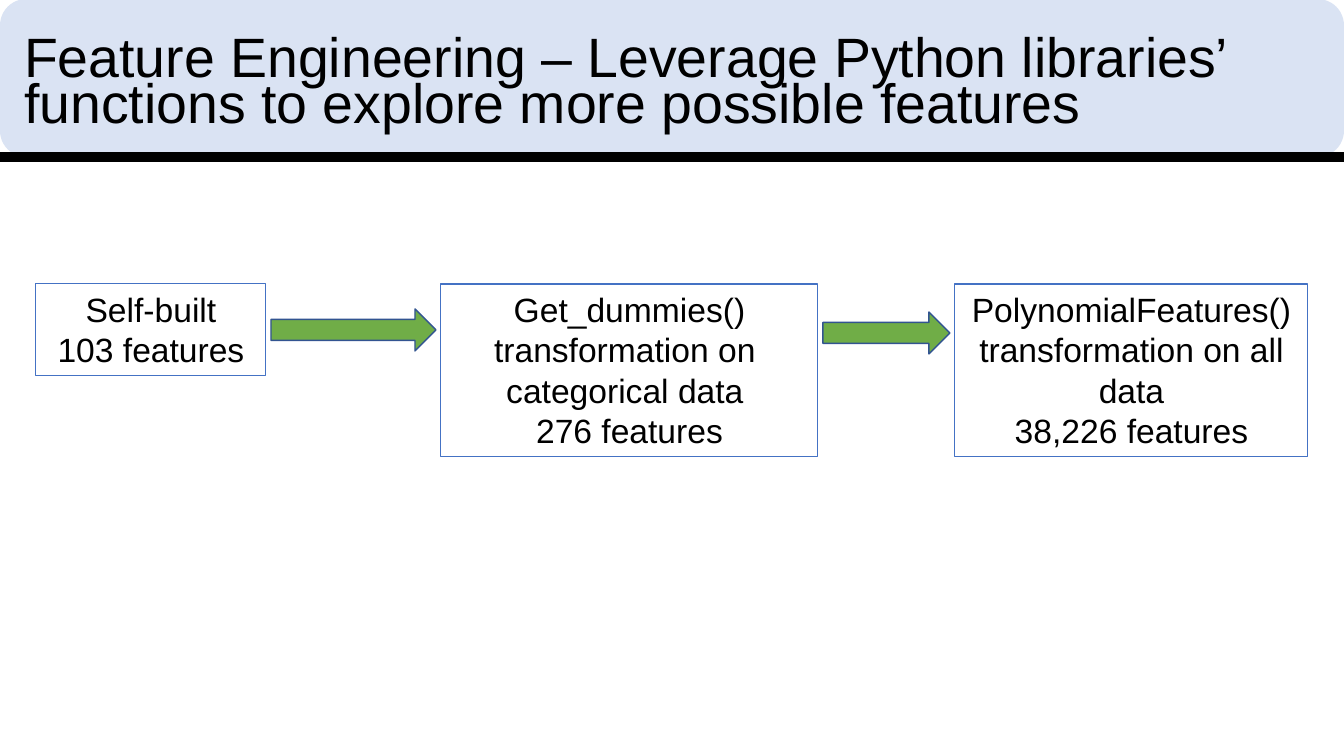
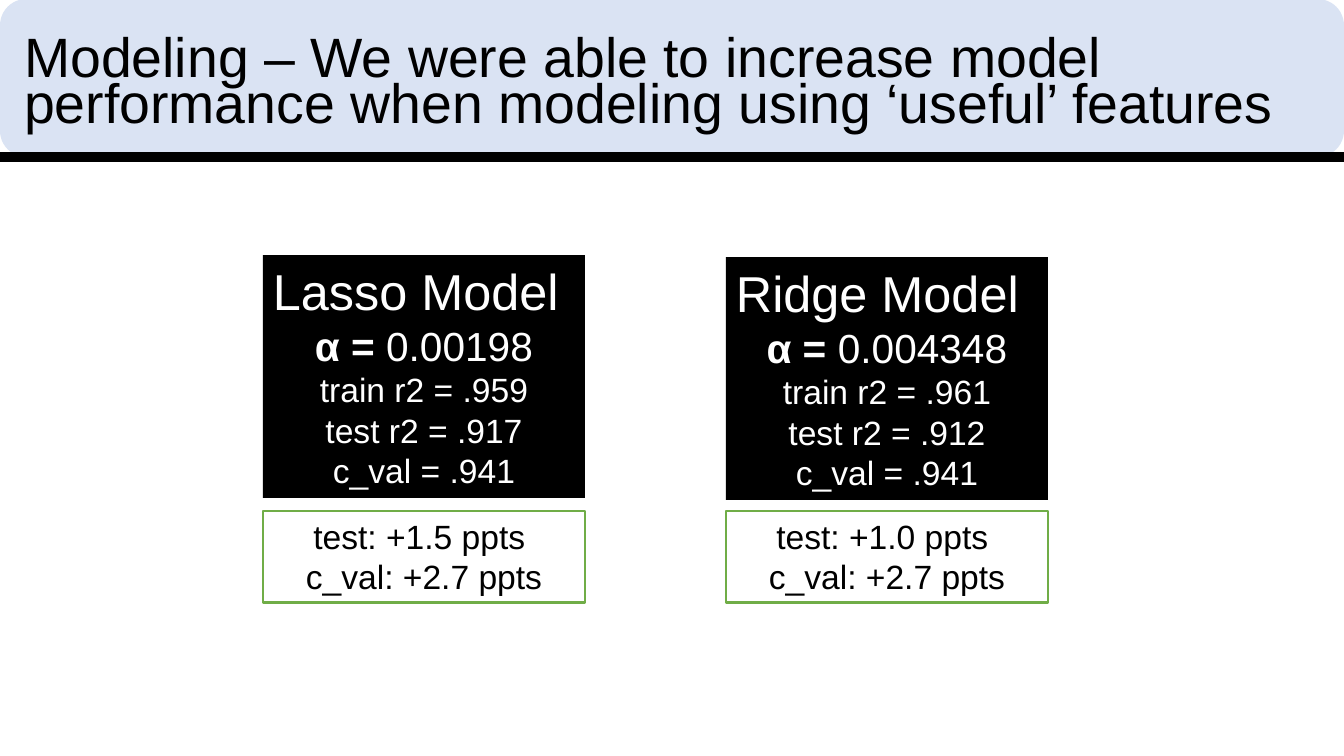
from collections import namedtuple
from dataclasses import dataclass

from lxml.etree import SubElement
from pptx import Presentation
from pptx.dml.color import RGBColor
from pptx.enum.shapes import MSO_CONNECTOR, MSO_SHAPE
from pptx.enum.text import MSO_ANCHOR, MSO_AUTO_SIZE, PP_ALIGN
from pptx.oxml.ns import qn
from pptx.util import Emu, Pt

PIXEL = 914400 / 100.8
WIDTH, HEIGHT = 1344, 756
TITLE_ONLY_LAYOUT = 5

Box = namedtuple("Box", "left top width height")
Run = namedtuple("Run", "text size bold", defaults=(False,))
Line = namedtuple("Line", "runs alignment", defaults=(PP_ALIGN.CENTER,))
Step = namedtuple("Step", "left width height lines")
Model = namedtuple("Model", "left top name alpha scores gains")


@dataclass(frozen=True)
class Theme:
    font: str = "Arial"
    black: str = "000000"
    white: str = "FFFFFF"
    band: str = "DAE3F3"
    blue: str = "4472C4"
    green: str = "70AD47"
    arrow_edge: str = "325491"
    title_size: float = 39.6
    heading_size: float = 36
    alpha_size: float = 29
    body_size: float = 24
    rule_width: float = 7.25
    box_edge: float = 0.75
    arrow_line: float = 1
    gain_edge: float = 2


THEME = Theme()


def px(length):
    return Emu(round(length * PIXEL))


def emu_box(box):
    return [px(length) for length in box]


def set_attributes(target, values):
    for name, value in values.items():
        setattr(target, name, value)


def paint(shape, fill=None, edge=None, edge_width=0):
    """Give a shape its fill and outline, or none."""
    for part, color in ((shape.fill, fill), (shape.line.fill, edge)):
        if color:
            part.solid()
            part.fore_color.rgb = RGBColor.from_string(color)
        else:
            part.background()
    if edge:
        shape.line.width = Pt(edge_width)


def add_run(paragraph, run, color):
    text_run = paragraph.add_run()
    text_run.text = run.text
    set_attributes(text_run.font, {
        "name": THEME.font, "size": Pt(run.size), "bold": run.bold})
    text_run.font.color.rgb = RGBColor.from_string(color)


def add_text_box(slide, box, lines, color=THEME.black, **paint_values):
    shape = slide.shapes.add_textbox(*emu_box(box))
    paint(shape, **paint_values)
    frame = shape.text_frame
    set_attributes(frame, {
        "word_wrap": True, "auto_size": MSO_AUTO_SIZE.SHAPE_TO_FIT_TEXT})
    for index, line in enumerate(lines):
        paragraph = frame.add_paragraph() if index else frame.paragraphs[0]
        paragraph.alignment = line.alignment
        for run in line.runs:
            add_run(paragraph, run, color)


def body_lines(texts):
    return [Line([Run(text, THEME.body_size)]) for text in texts]


def add_preset(slide, preset, box, **paint_values):
    shape = slide.shapes.add_shape(preset, *emu_box(box))
    shape.shadow.inherit = False
    paint(shape, **paint_values)


def add_header(slide, box, title):
    # Band and rule along its lower edge
    add_preset(slide, MSO_SHAPE.ROUNDED_RECTANGLE, box, fill=THEME.band)
    bottom = px(box.top + box.height)
    rule = slide.shapes.add_connector(
        MSO_CONNECTOR.STRAIGHT, px(box.left), bottom,
        px(box.left + box.width), bottom)
    rule.line.color.rgb = RGBColor.from_string(THEME.black)
    rule.line.width = Pt(THEME.rule_width)
    SubElement(rule._element.spPr, qn("a:effectLst"))

    # Title, brought in front of the band
    shape = slide.shapes.title
    title_box = Box(box.left + 14, box.top + 29, box.width - 28, 117)
    set_attributes(shape, dict(zip(Box._fields, emu_box(title_box))))
    set_attributes(shape.text_frame, {
        "word_wrap": True, "auto_size": MSO_AUTO_SIZE.NONE,
        "vertical_anchor": MSO_ANCHOR.MIDDLE})
    paragraph = shape.text_frame.paragraphs[0]
    set_attributes(paragraph, {
        "alignment": PP_ALIGN.LEFT, "line_spacing": 0.7})
    add_run(paragraph, Run(title, THEME.title_size), THEME.black)
    shape._element.getparent().append(shape._element)


def add_titled_slide(presentation, title):
    layout = presentation.slide_layouts[TITLE_ONLY_LAYOUT]
    slide = presentation.slides.add_slide(layout)
    add_header(slide, Box(0, -1, WIDTH, 158), title)
    return slide


def add_flow(slide, box, steps, arrow_offsets):
    """Place the steps in the box, with an arrow in each gap."""
    for step in steps:
        add_text_box(
            slide, Box(box.left + step.left, box.top, step.width, step.height),
            body_lines(step.lines), edge=THEME.blue, edge_width=THEME.box_edge)

    margin, arrow_height = 5, 42
    for step, following, offset in zip(steps, steps[1:], arrow_offsets):
        start = step.left + step.width + margin
        arrow = Box(box.left + start, box.top + offset,
                    following.left - margin - start, arrow_height)
        add_preset(slide, MSO_SHAPE.RIGHT_ARROW, arrow, fill=THEME.green,
                   edge=THEME.arrow_edge, edge_width=THEME.arrow_line)


def add_model(slide, box, model):
    """Place a model's score card and the gains below it."""
    left, card_height, gains_height = box.left + model.left, 243, 92
    lines = [
        Line([Run(model.name, THEME.heading_size)], PP_ALIGN.LEFT),
        Line([Run("α = ", THEME.alpha_size, True),
              Run(model.alpha, THEME.alpha_size)]),
        *body_lines(model.scores),
    ]
    add_text_box(slide, Box(left, box.top + model.top, 322, card_height),
                 lines, color=THEME.white, fill=THEME.black)
    gains_top = box.top + box.height - gains_height
    add_text_box(slide, Box(left, gains_top, 322, gains_height),
                 body_lines(model.gains), edge=THEME.green,
                 edge_width=THEME.gain_edge)


def build_feature_slide(presentation):
    slide = add_titled_slide(
        presentation, "Feature Engineering – Leverage Python libraries’ "
        "functions to explore more possible features")
    steps = [
        Step(0, 230, 92, ["Self-built", "103 features"]),
        Step(405, 377, 173, ["Get_dummies() transformation on ",
                             "categorical data ", "276 features"]),
        Step(919, 353, 173, [
            "PolynomialFeatures() transformation on all data",
            "38,226 features"]),
    ]
    add_flow(slide, Box(36, 284, 1272, 173), steps, arrow_offsets=[25, 28])


def build_model_slide(presentation):
    slide = add_titled_slide(
        presentation, "Modeling – We were able to increase model "
        "performance when modeling using ‘useful’ features")
    models = [
        Model(0, 0, "Lasso Model", "0.00198",
              ["train r2 = .959", "test r2 = .917", "c_val = .941"],
              ["test: +1.5 ppts ", "c_val: +2.7 ppts"]),
        Model(463, 2, "Ridge Model", "0.004348",
              ["train r2 = .961", "test r2 = .912", "c_val = .941"],
              ["test: +1.0 ppts ", "c_val: +2.7 ppts"]),
    ]
    for model in models:
        add_model(slide, Box(263, 255, 785, 348), model)


presentation = Presentation()
set_attributes(presentation, {
    "slide_width": px(WIDTH), "slide_height": px(HEIGHT)})
build_feature_slide(presentation)
build_model_slide(presentation)
presentation.save("out.pptx")
